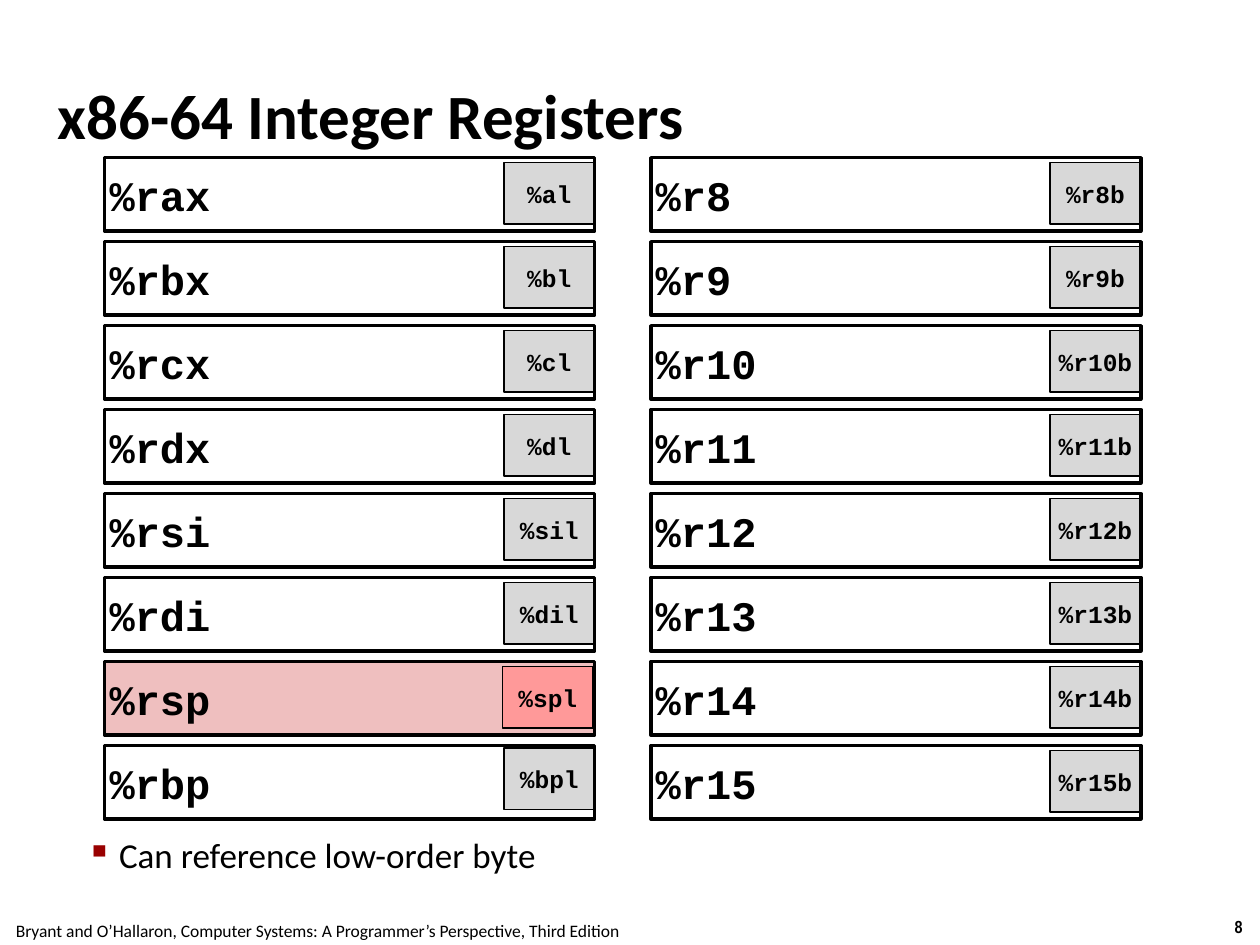
from lxml.etree import SubElement
from pptx import Presentation
from pptx.dml.color import RGBColor
from pptx.enum.shapes import MSO_SHAPE
from pptx.enum.text import MSO_ANCHOR, PP_ALIGN
from pptx.oxml.ns import qn
from pptx.util import Cm, Pt

BLACK = RGBColor(0x00, 0x00, 0x00)
GREY = RGBColor(0xD8, 0xD8, 0xD8)
PINK = RGBColor(0xEF, 0xBF, 0xBF)
RED = RGBColor(0xFF, 0x99, 0x99)

prs = Presentation()
prs.slide_width, prs.slide_height = Cm(25.4), Cm(19.05)
slide = prs.slides.add_slide(prs.slide_layouts[6])


def add_text(text, x, y, w, h, font="Calibri", size=20, bold=False,
             align=PP_ALIGN.LEFT, anchor=MSO_ANCHOR.MIDDLE, inset=(0.1, 0.1),
             fill=None, line=None, wrap=True):
    """Add a text box, or a rectangle when a line width is given."""
    box = Cm(x), Cm(y), Cm(w), Cm(h)
    if line:
        sp = slide.shapes.add_shape(MSO_SHAPE.RECTANGLE, *box)
        sp.shadow.inherit = False
        sp.line.color.rgb = BLACK
        sp.line.width = Pt(line)
    else:
        sp = slide.shapes.add_textbox(*box)
    if fill is None:
        sp.fill.background()
    else:
        sp.fill.solid()
        sp.fill.fore_color.rgb = fill
    tf = sp.text_frame
    tf.word_wrap = wrap
    tf.vertical_anchor = anchor
    tf.margin_left = tf.margin_right = Cm(inset[0])
    tf.margin_top = tf.margin_bottom = Cm(inset[1])
    p = tf.paragraphs[0]
    p.alignment = align
    r = p.add_run()
    r.text = text
    r.font.name, r.font.size, r.font.bold = font, Pt(size), bold
    r.font.color.rgb = BLACK
    return p


# Footer and page number
footer = dict(size=10, align=PP_ALIGN.CENTER, anchor=MSO_ANCHOR.TOP,
              inset=(0.25, 0.13), wrap=False)
add_text("8", 24.54, 18.34, 0.86, 0.68, font="Arial Narrow", bold=True, **footer)
add_text("Bryant and O’Hallaron, Computer Systems: A Programmer’s Perspective, "
         "Third Edition", -0.05, 18.41, 12.9, 0.68, **footer)

# Title
add_text("x86-64 Integer Registers", 1.06, 0.71, 23.28, 3.18, size=36, bold=True)

# Bulleted remark
p = add_text("Can reference low-order byte", 0.88, 16.71, 20.38, 2.33,
             anchor=MSO_ANCHOR.TOP)
pPr = p._p.get_or_add_pPr()
pPr.set("marL", str(Cm(1.42)))
pPr.set("indent", str(Cm(-0.66)))
color = SubElement(SubElement(pPr, qn("a:buClr")), qn("a:srgbClr"))
color.set("val", "990000")
SubElement(pPr, qn("a:buChar")).set("char", "▪")

# Registers, each with its low-order byte
columns = [
    (2.11, [("%rax", "%al"), ("%rbx", "%bl"), ("%rcx", "%cl"), ("%rdx", "%dl"),
            ("%rsi", "%sil"), ("%rdi", "%dil"), ("%rsp", "%spl"), ("%rbp", "%bpl")]),
    (13.12, [(f"%r{n}", f"%r{n}b") for n in range(8, 16)]),
]
top, pitch = 3.18, 16.93 / 10
nudges = {"%spl": (-0.03, 0), "%bpl": (0, -0.05)}
code = dict(font="Courier New", bold=True)

for x, registers in columns:
    for row, (register, low_byte) in enumerate(registers):
        y = top + row * pitch
        dx, dy = nudges.get(low_byte, (0, 0))
        stack = register == "%rsp"
        parts = [
            (low_byte, x + 8.05 + dx, y + 0.1 + dy, 1.83, 1.24,
             dict(size=14, align=PP_ALIGN.CENTER, fill=RED if stack else GREY,
                  line=1 if stack else 0.75)),
            (register, x, y, 9.88, 1.48,
             dict(size=24, fill=PINK if stack else None, line=2)),
        ]
        # The filled stack pointer goes behind its byte
        for *place, style in reversed(parts) if stack else parts:
            add_text(*place, **code, **style)

prs.save("out.pptx")
